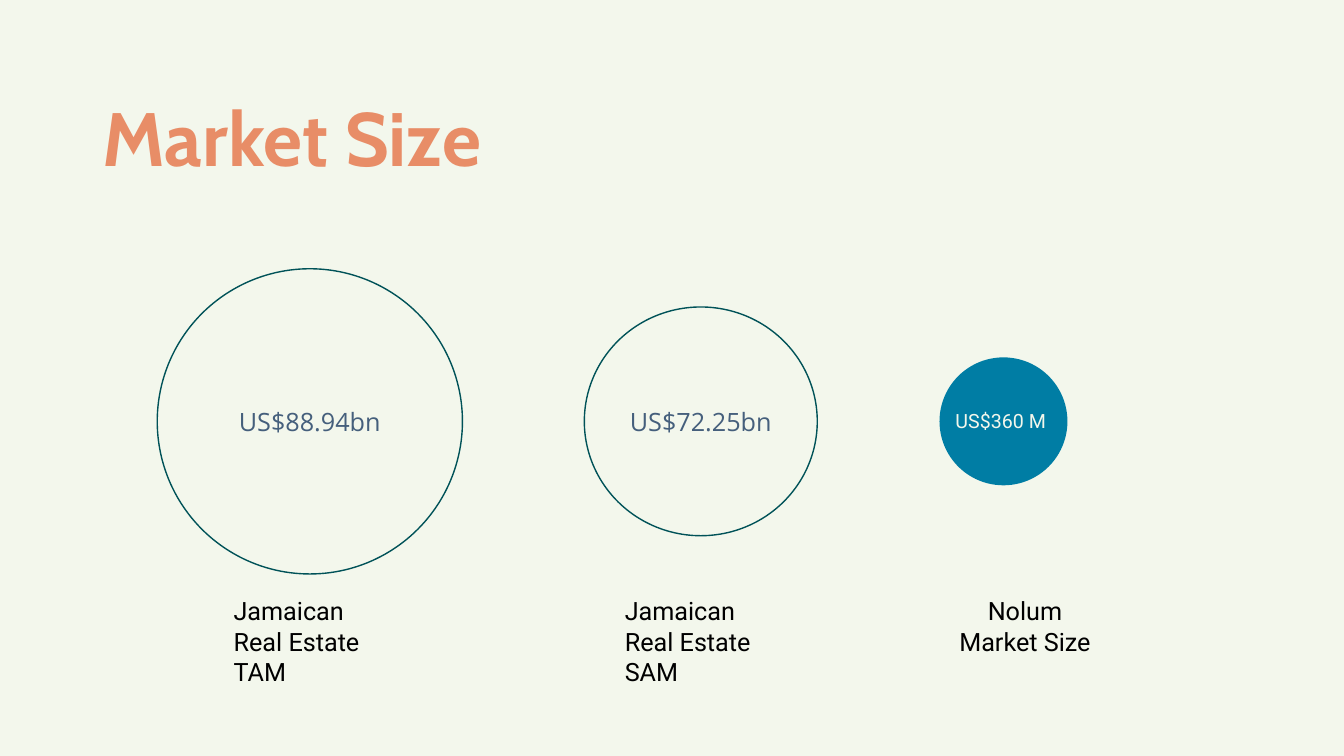
from pptx import Presentation
from pptx.dml.color import RGBColor
from pptx.enum.shapes import MSO_SHAPE
from pptx.enum.text import MSO_ANCHOR, PP_ALIGN
from pptx.util import Pt

COLORS = {
    "paper": "F3F7EC",
    "coral": "E88D67",
    "teal": "005258",
    "blue": "007DA4",
    "slate": "455F7C",
    "black": "000000",
}
CENTER_Y = 301
LABEL_Y = 422


def rgb(name):
    return RGBColor.from_string(COLORS[name])


def write(tf, text, font="Roboto", size=18, color="black", bold=False,
          align=PP_ALIGN.LEFT, anchor=MSO_ANCHOR.TOP):
    tf.word_wrap = True
    tf.vertical_anchor = anchor
    p = tf.paragraphs[0]
    p.alignment = align
    r = p.add_run()
    r.text = text
    r.font.name = font
    r.font.size = Pt(size)
    r.font.bold = bold
    r.font.color.rgb = rgb(color)


class SlideBuilder:
    def __init__(self, prs):
        self.s = prs.slides.add_slide(prs.slide_layouts[6])
        fill = self.s.background.fill
        fill.solid()
        fill.fore_color.rgb = rgb("paper")

    def text(self, x, y, w, h, text, **fmt):
        sp = self.s.shapes.add_textbox(Pt(x), Pt(y), Pt(w), Pt(h))
        write(sp.text_frame, text, **fmt)

    def circle(self, cx, w, h, text=None, fill=None):
        sp = self.s.shapes.add_shape(MSO_SHAPE.OVAL, Pt(cx - w / 2),
                                     Pt(CENTER_Y - h / 2), Pt(w), Pt(h))
        sp.shadow.inherit = False
        if fill:
            sp.fill.solid()
            sp.fill.fore_color.rgb = rgb(fill)
            sp.line.fill.background()
        else:
            sp.fill.background()
            sp.line.color.rgb = rgb("teal")
            sp.line.width = Pt(1)
        if text:
            tf = sp.text_frame
            tf.margin_left = tf.margin_right = 0
            write(tf, text, font="Open Sans", color="slate",
                  align=PP_ALIGN.CENTER, anchor=MSO_ANCHOR.MIDDLE)


def main():
    prs = Presentation()
    prs.slide_width, prs.slide_height = Pt(960), Pt(540)
    b = SlideBuilder(prs)
    b.text(66, 28.8, 828, 104.4, "Market Size", font="Cabin", size=54,
           color="coral", bold=True, anchor=MSO_ANCHOR.BOTTOM)

    b.circle(221.3, 218, 218, "US$88.94bn")
    b.circle(500.6, 166.4, 163.4, "US$72.25bn")
    b.circle(716.8, 91.4, 91.4, fill="blue")

    labels = [
        (159.8, 73, "Jamaican Real Estate TAM", PP_ALIGN.LEFT),
        (439.2, 73, "Jamaican Real Estate SAM", PP_ALIGN.LEFT),
        (671, 51, "Nolum Market Size", PP_ALIGN.CENTER),
    ]
    for x, h, text, align in labels:
        b.text(x, LABEL_Y, 122.4, h, text, align=align)

    b.text(675.4, 288.8, 91.4, 24.4, "US$360 M", size=14, color="paper")
    prs.save("out.pptx")


if __name__ == "__main__":
    main()
